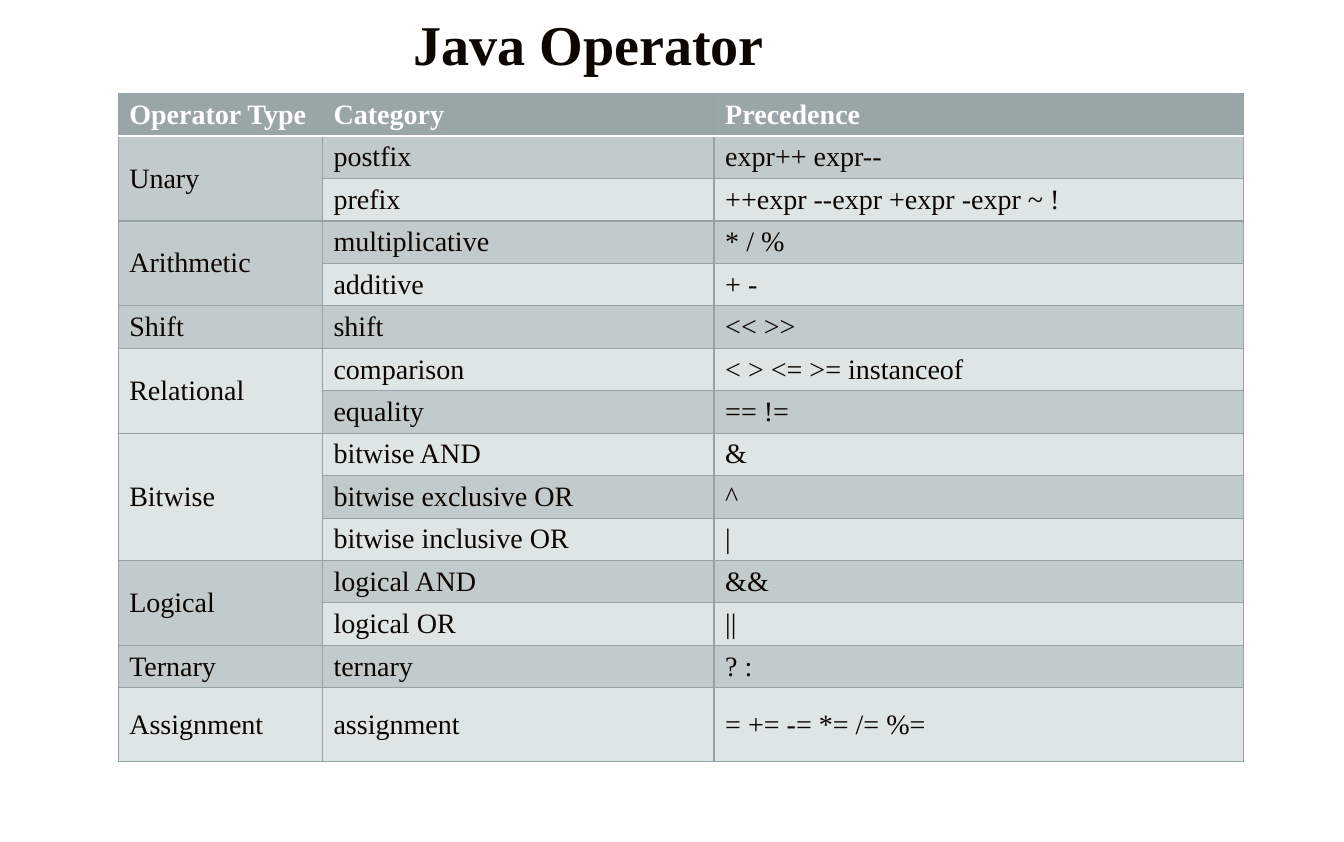
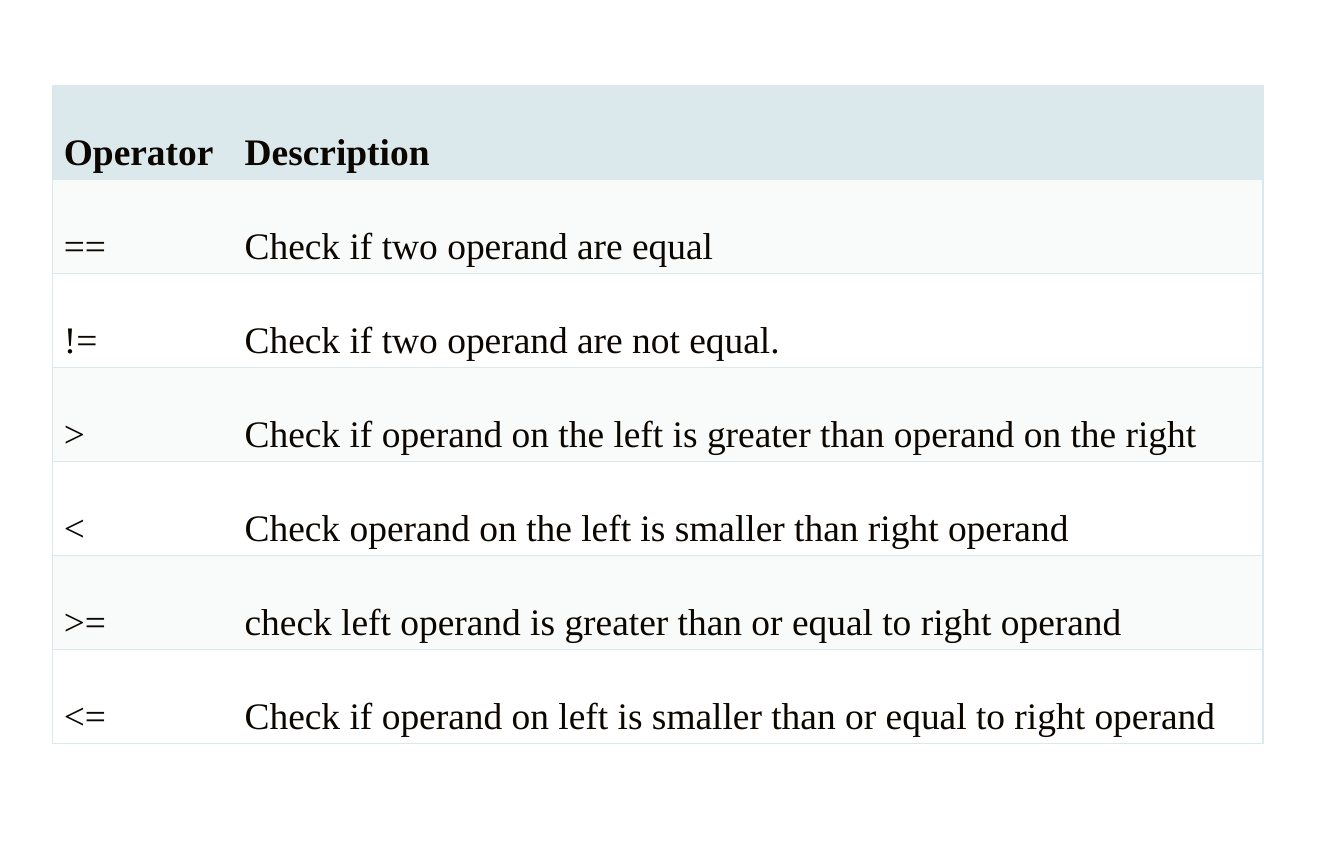
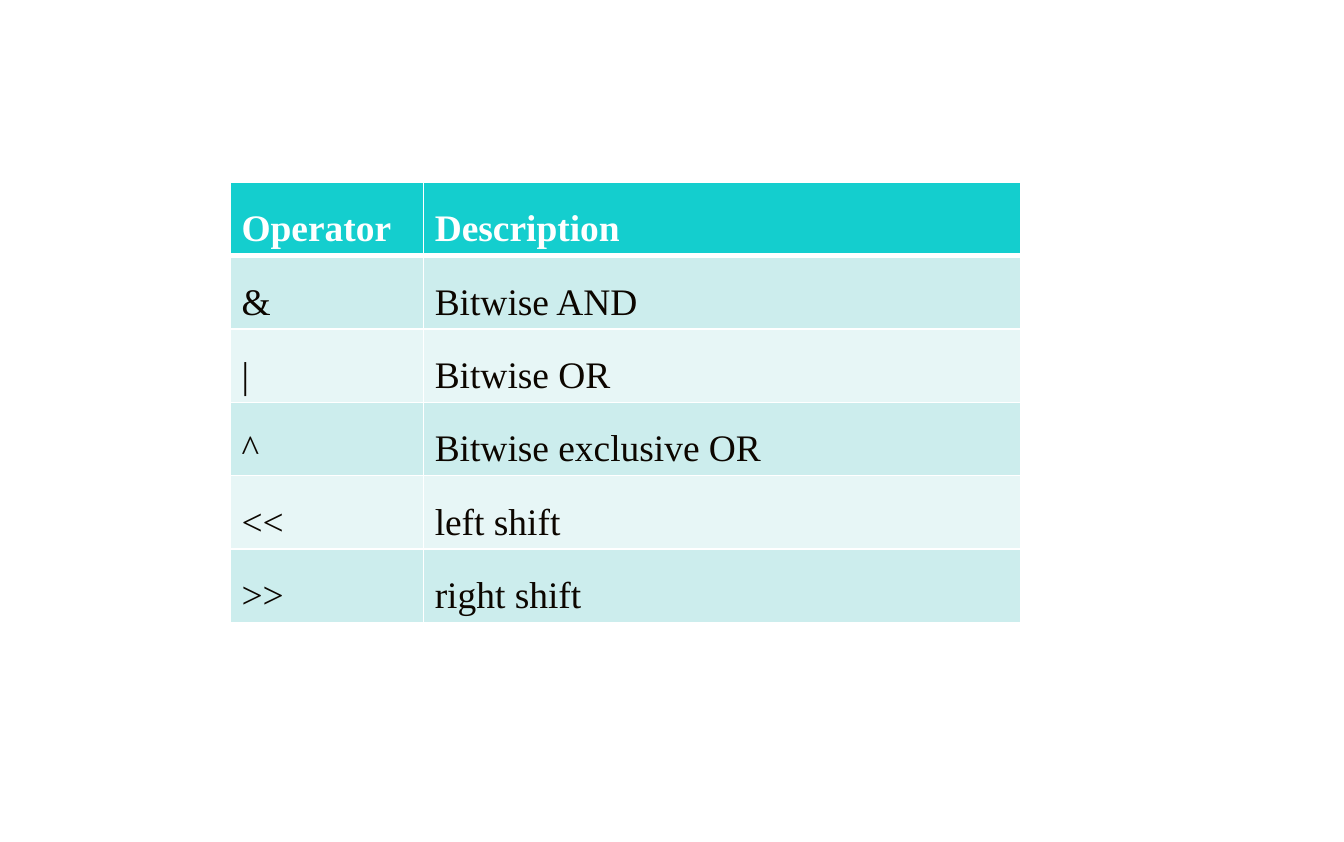
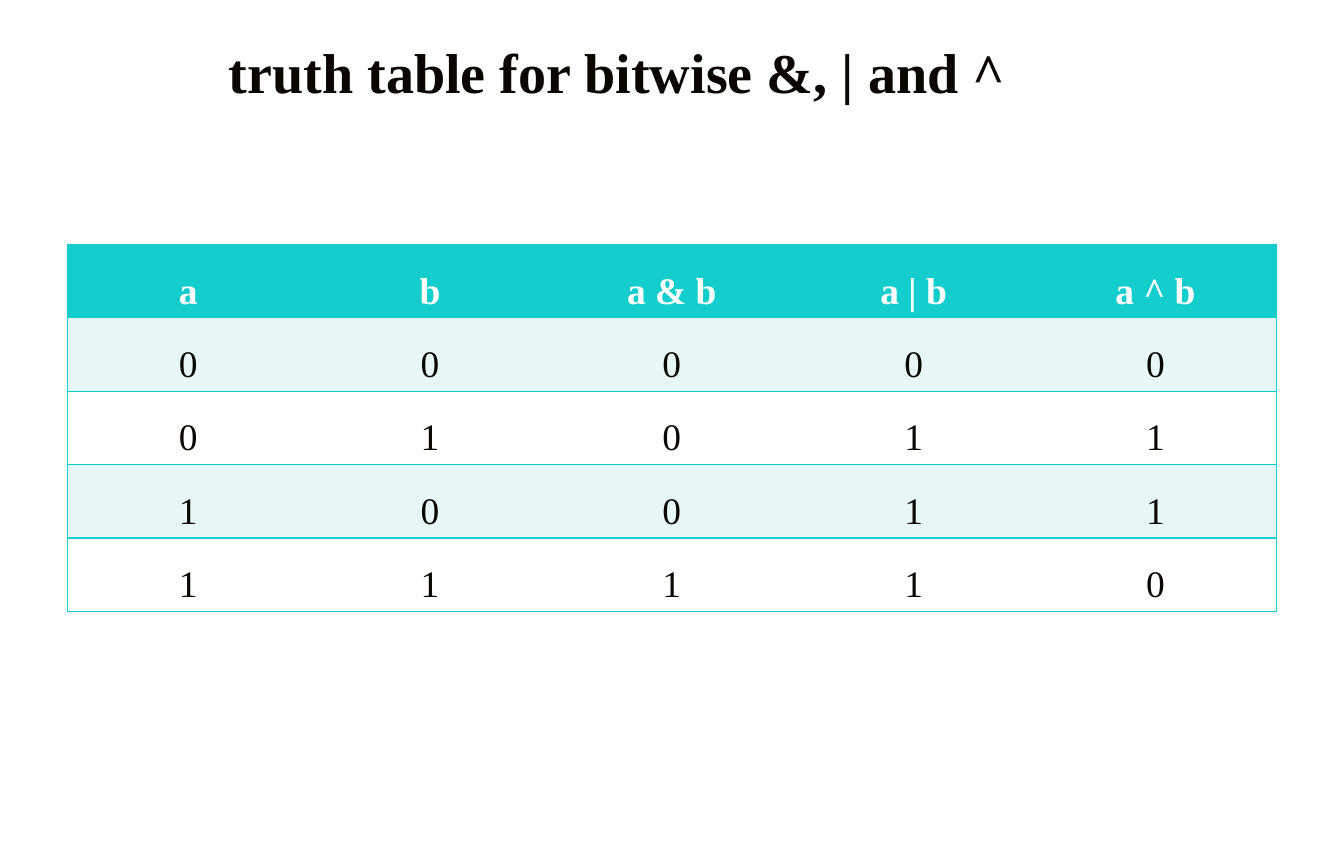
from lxml import etree
from pptx import Presentation
from pptx.dml.color import RGBColor
from pptx.enum.text import MSO_ANCHOR, PP_ALIGN
from pptx.oxml.ns import qn
from pptx.util import Cm, Pt

LEFT, CENTER = PP_ALIGN.LEFT, PP_ALIGN.CENTER
TOP, MIDDLE = MSO_ANCHOR.TOP, MSO_ANCHOR.MIDDLE

FONT = "Times New Roman"
PLAIN_STYLE = "{2D5ABB26-0587-4C30-8999-92F81FD0307C}"
COLORS = {
    "ink": "0C0600", "white": "FFFFFF",
    "slate": "9AA5A8", "slate line": "96A2A5",
    "slate mid": "C2CBCB", "slate pale": "DDE6E5",
    "ice": "DCE9EC", "ice pale": "F9FBFB",
    "teal": "14CECE", "teal mid": "CCEDED", "teal pale": "E7F6F6",
}

# An empty first cell continues the cell above it.
PRECEDENCE = [
    ("Operator Type", "Category", "Precedence"),
    ("Unary", "postfix", "expr++ expr--"),
    ("", "prefix", "++expr --expr +expr -expr ~ !"),
    ("Arithmetic", "multiplicative", "* / %"),
    ("", "additive", "+ -"),
    ("Shift", "shift", "<< >>"),
    ("Relational", "comparison", "< > <= >= instanceof"),
    ("", "equality", "== !="),
    ("Bitwise", "bitwise AND", "&"),
    ("", "bitwise exclusive OR", "^"),
    ("", "bitwise inclusive OR", "|"),
    ("Logical", "logical AND", "&&"),
    ("", "logical OR", "||"),
    ("Ternary", "ternary", "? :"),
    ("Assignment", "assignment", "= += -= *= /= %="),
]
RELATIONAL = [
    ("Operator", "Description"),
    ("==", "Check if two operand are equal"),
    ("!=", "Check if two operand are not equal."),
    (">", "Check if operand on the left is greater than operand on the right"),
    ("<", "Check operand on the left is smaller than right operand"),
    (">=", "check left operand is greater than or equal to right operand"),
    ("<=", "Check if operand on left is smaller than or equal to right operand"),
]
BITWISE = [
    ("Operator", "Description"),
    ("&", "Bitwise AND"),
    ("|", "Bitwise OR"),
    ("^", "Bitwise exclusive OR"),
    ("<<", "left shift"),
    (">>", "right shift"),
]
TRUTH = [("a", "b", "a & b", "a | b", "a ^ b")] + [
    tuple(str(n) for n in (a, b, a & b, a | b, a ^ b))
    for a in (0, 1) for b in (0, 1)
]

# Lengths are centimetres, sizes and line widths points.
SLIDES = [
    {
        "title": ("Java Operator", (2.29, 0, 22.05, 1.93)),
        "rows": PRECEDENCE, "at": (2.67, 2.12), "cols": (4.62, 8.86, 11.98),
        "height": 0.96, "last": 1.67, "size": 18, "anchor": MIDDLE,
        "fills": ("slate", "slate mid", "slate pale"), "head": "white",
        "line": ("slate line", 0.75), "rule": ("white", 2), "grid": True,
        "para": {"alignment": LEFT},
    },
    {
        "rows": RELATIONAL, "at": (1.19, 1.93), "cols": (4.09, 23.29),
        "height": 2.12, "size": 24, "anchor": TOP,
        "fills": ("ice", "ice pale", "white"), "head": "ink",
        "line": ("ice", 1), "rule": ("ice", 1), "grid": False,
        "para": {"alignment": LEFT, "line_spacing": 2.0, "space_before": Pt(6)},
    },
    {
        "rows": BITWISE, "at": (5.21, 4.12), "cols": (4.37, 13.51),
        "height": 1.66, "size": 24, "anchor": TOP,
        "fills": ("teal", "teal mid", "teal pale"), "head": "white",
        "line": ("white", 1), "rule": ("white", 3), "grid": True,
        "para": {"alignment": LEFT, "line_spacing": 1.5},
    },
    {
        "title": ("truth table for bitwise &, | and ^", (0.94, 0.43, 26.04, 2.34)),
        "rows": TRUTH, "at": (1.52, 5.53), "cols": (5.47,) * 5,
        "height": 1.66, "size": 24, "anchor": TOP,
        "fills": ("teal", "teal pale", "white"), "head": "white",
        "line": ("teal", 1), "rule": ("teal", 1), "grid": False,
        "para": {"alignment": CENTER, "line_spacing": 1.5},
    },
]


def put(obj, values):
    for name, value in values.items():
        setattr(obj, name, value)


def write(frame, text, size, color, bold, para):
    first = frame.paragraphs[0]
    put(first, para)
    run = first.add_run()
    run.text = text
    put(run.font, {"name": FONT, "size": Pt(size), "bold": bold})
    run.font.color.rgb = RGBColor.from_string(COLORS[color])


def add_title(slide, text, box):
    title = slide.shapes.title
    put(title, dict(zip(("left", "top", "width", "height"), map(Cm, box))))
    put(title.text_frame, {"vertical_anchor": MIDDLE, "word_wrap": True})
    write(title.text_frame, text, 36, "ink", True,
          {"alignment": CENTER, "space_before": Pt(7)})


def edge(cell, side, color, width):
    props = cell._tc.get_or_add_tcPr()
    line = etree.SubElement(props, qn("a:ln" + side), w=str(Pt(width)))
    fill = etree.SubElement(line, qn("a:solidFill"))
    etree.SubElement(fill, qn("a:srgbClr"), val=COLORS[color])


def style_cell(cell, look, r, c):
    last = len(look["cols"]) - 1
    if c == 0 or look["grid"]:
        edge(cell, "L", *look["line"])
    if c == last or look["grid"]:
        edge(cell, "R", *look["line"])
    edge(cell, "T", *look["rule" if r == 1 else "line"])
    edge(cell, "B", *look["rule" if r == 0 else "line"])
    shade = look["fills"][0 if r == 0 else 2 - r % 2]
    cell.fill.solid()
    cell.fill.fore_color.rgb = RGBColor.from_string(COLORS[shade])
    cell.vertical_anchor = look["anchor"]


def add_grid(slide, look):
    rows, cols = look["rows"], look["cols"]
    heights = [look["height"]] * len(rows)
    heights[-1] = look.get("last", look["height"])
    table = slide.shapes.add_table(
        len(rows), len(cols), *map(Cm, look["at"]),
        Cm(sum(cols)), Cm(sum(heights))).table
    table._tbl.tblPr.find(qn("a:tableStyleId")).text = PLAIN_STYLE
    for col, width in zip(table.columns, cols):
        col.width = Cm(width)
    for row, height in zip(table.rows, heights):
        row.height = Cm(height)
    for r, row in enumerate(rows):
        for c, text in enumerate(row):
            cell = table.cell(r, c)
            style_cell(cell, look, r, c)
            if text:
                write(cell.text_frame, text, look["size"],
                      "ink" if r else look["head"], r == 0, look["para"])
    starts = [r for r, row in enumerate(rows) if row[0]] + [len(rows)]
    for start, end in zip(starts, starts[1:]):
        if end - start > 1:
            table.cell(start, 0).merge(table.cell(end - 1, 0))


def main():
    deck = Presentation()
    put(deck, {"slide_width": Cm(30.4), "slide_height": Cm(19.05)})
    titled, blank = deck.slide_layouts[5], deck.slide_layouts[6]
    for look in SLIDES:
        slide = deck.slides.add_slide(titled if "title" in look else blank)
        if "title" in look:
            add_title(slide, *look["title"])
        add_grid(slide, look)
    deck.save("out.pptx")


if __name__ == "__main__":
    main()
